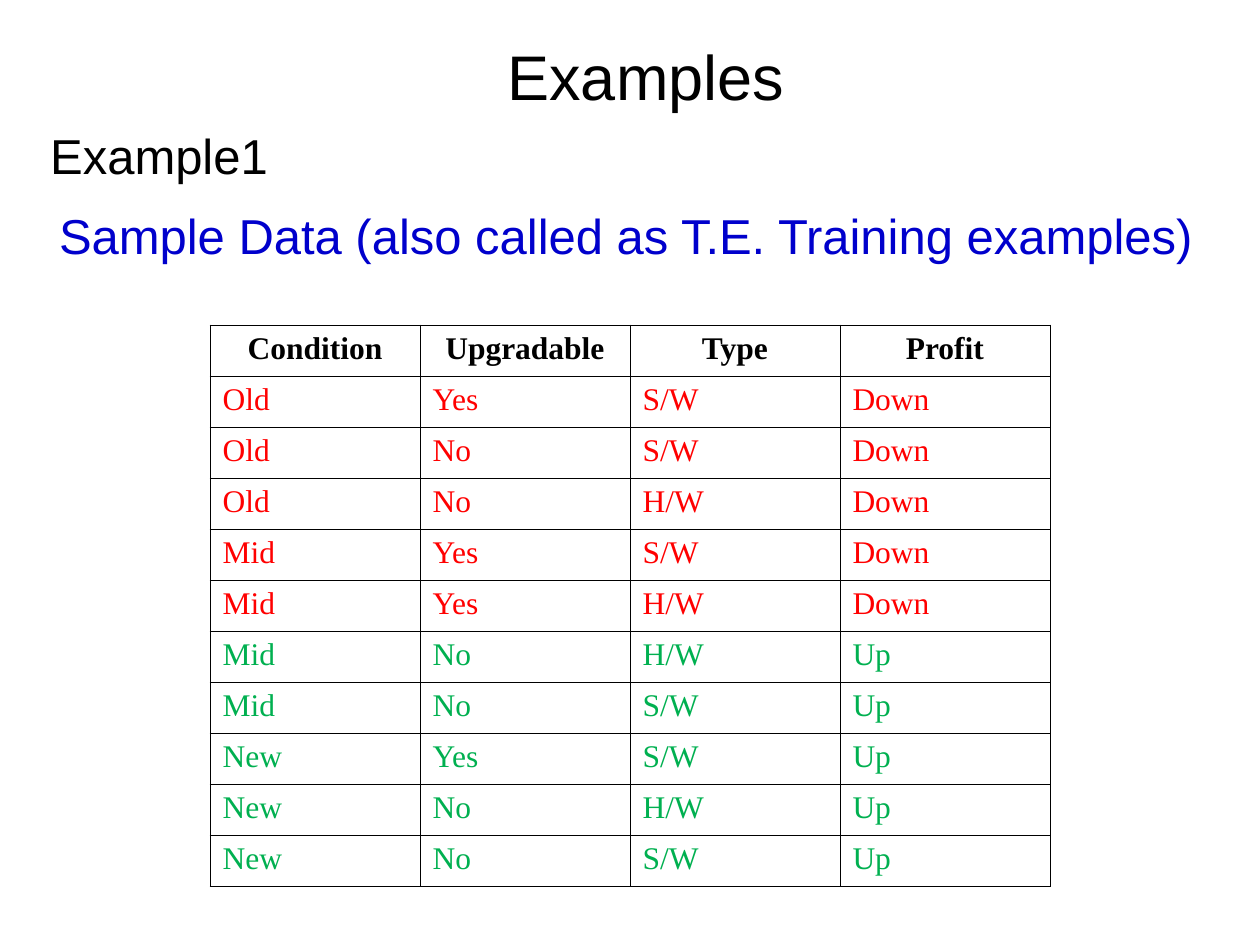
import lxml.etree
import pptx
import pptx.dml.color
import pptx.enum.text
import pptx.oxml.ns
import pptx.util

deck = pptx.Presentation()
deck.slide_width = pptx.util.Inches(10)
deck.slide_height = pptx.util.Inches(7.5)
page = deck.slides.add_slide(deck.slide_layouts[6])
width, height = deck.slide_width, deck.slide_height
column = width // 6
row_height = pptx.util.Inches(4.46 / 11)


def color(code):
    return pptx.dml.color.RGBColor.from_string(code)


def write(para, text, code, **formats):
    span = para.add_run()
    span.text = text
    span.font.color.rgb = color(code)
    for name, value in formats.items():
        setattr(span.font, name, value)


# Table: four of the six page columns, centred
header = ["Condition", "Upgradable", "Type", "Profit"]
samples = [
    ["Old", "Yes", "S/W", "Down"],
    ["Old", "No", "S/W", "Down"],
    ["Old", "No", "H/W", "Down"],
    ["Mid", "Yes", "S/W", "Down"],
    ["Mid", "Yes", "H/W", "Down"],
    ["Mid", "No", "H/W", "Up"],
    ["Mid", "No", "S/W", "Up"],
    ["New", "Yes", "S/W", "Up"],
    ["New", "No", "H/W", "Up"],
    ["New", "No", "S/W", "Up"],
]
profit_colors = {"Profit": "000000", "Down": "FF0000", "Up": "00B050"}
rows = [header] + samples
table = page.shapes.add_table(
    len(rows), len(header), column, pptx.util.Inches(2.58),
    column * len(header), row_height * len(rows),
).table
table.first_row = False
table.horz_banding = False
for table_column in table.columns:
    table_column.width = column

for row_index, values in enumerate(rows):
    table.rows[row_index].height = row_height
    is_header = row_index == 0
    for column_index, value in enumerate(values):
        cell = table.cell(row_index, column_index)
        para = cell.text_frame.paragraphs[0]
        if is_header:
            para.alignment = pptx.enum.text.PP_ALIGN.CENTER
        write(para, value, profit_colors[values[-1]], name="Times New Roman",
              size=pptx.util.Pt(18), bold=is_header)

        # Thin black borders, then no fill
        properties = cell._tc.get_or_add_tcPr()
        for side in ("a:lnL", "a:lnR", "a:lnT", "a:lnB"):
            line = lxml.etree.SubElement(
                properties, pptx.oxml.ns.qn(side), w=str(pptx.util.Pt(0.45)))
            fill = lxml.etree.SubElement(line, pptx.oxml.ns.qn("a:solidFill"))
            lxml.etree.SubElement(fill, pptx.oxml.ns.qn("a:srgbClr"), val="000000")
        cell.fill.background()

# Headings: text, size, colour, then left, top, width, height in inches,
# each box a little wider than its single line
headings = [
    ("Sample Data (also called as T.E. Training examples)", 28, "0000CC",
     0.37, 1.58, 9.35, 0.57),
    ("Examples", 36, "000000", 3.93, 0.25, 2.5, 0.7),
    ("Example1", 28, "000000", 0.3, 0.95, 2.05, 0.57),
]
for text, size, code, *place in headings:
    box = page.shapes.add_textbox(*map(pptx.util.Inches, place))
    frame = box.text_frame
    frame.word_wrap = True
    frame.auto_size = pptx.enum.text.MSO_AUTO_SIZE.NONE
    write(frame.paragraphs[0], text, code, name="Arial", size=pptx.util.Pt(size))

deck.save("out.pptx")
